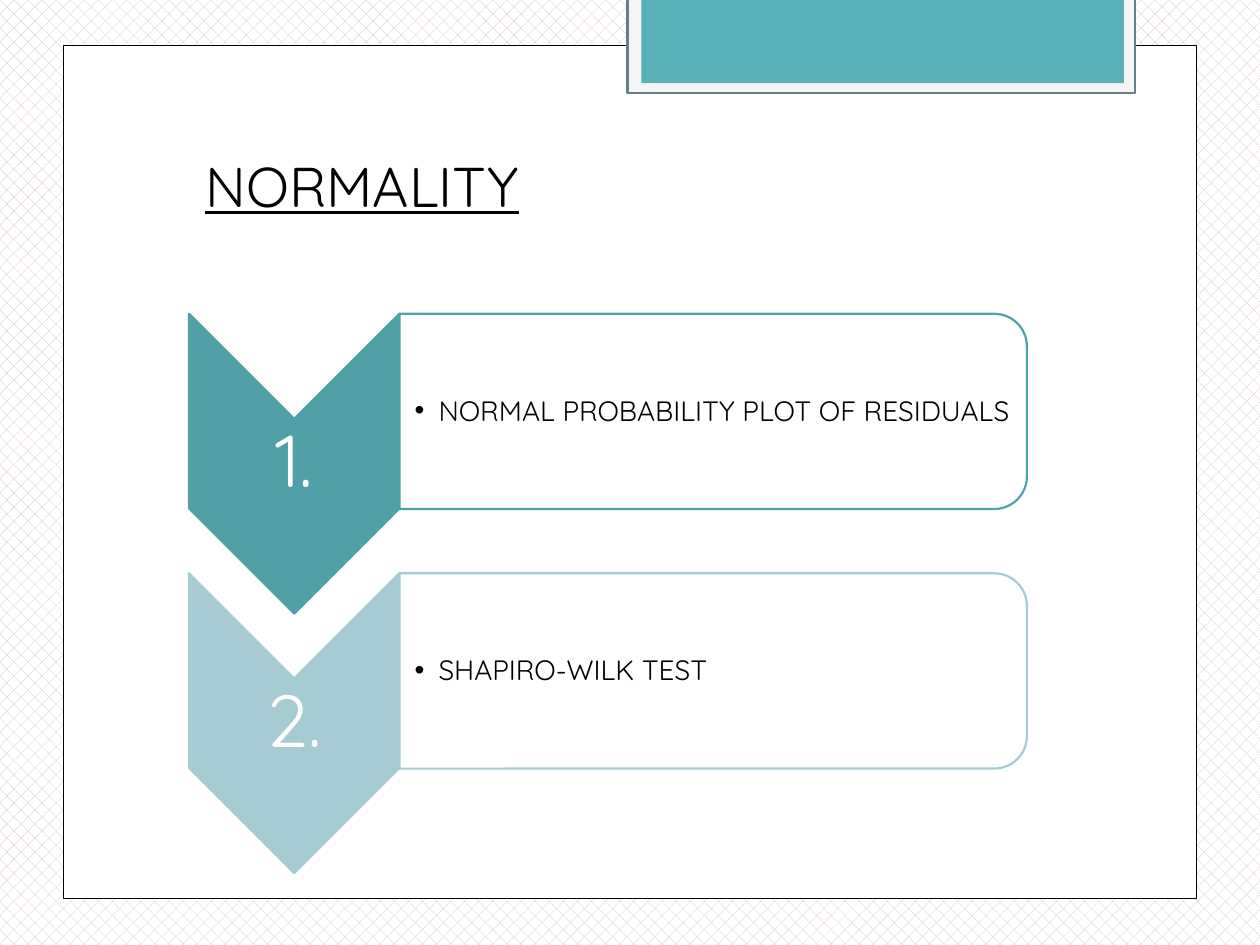
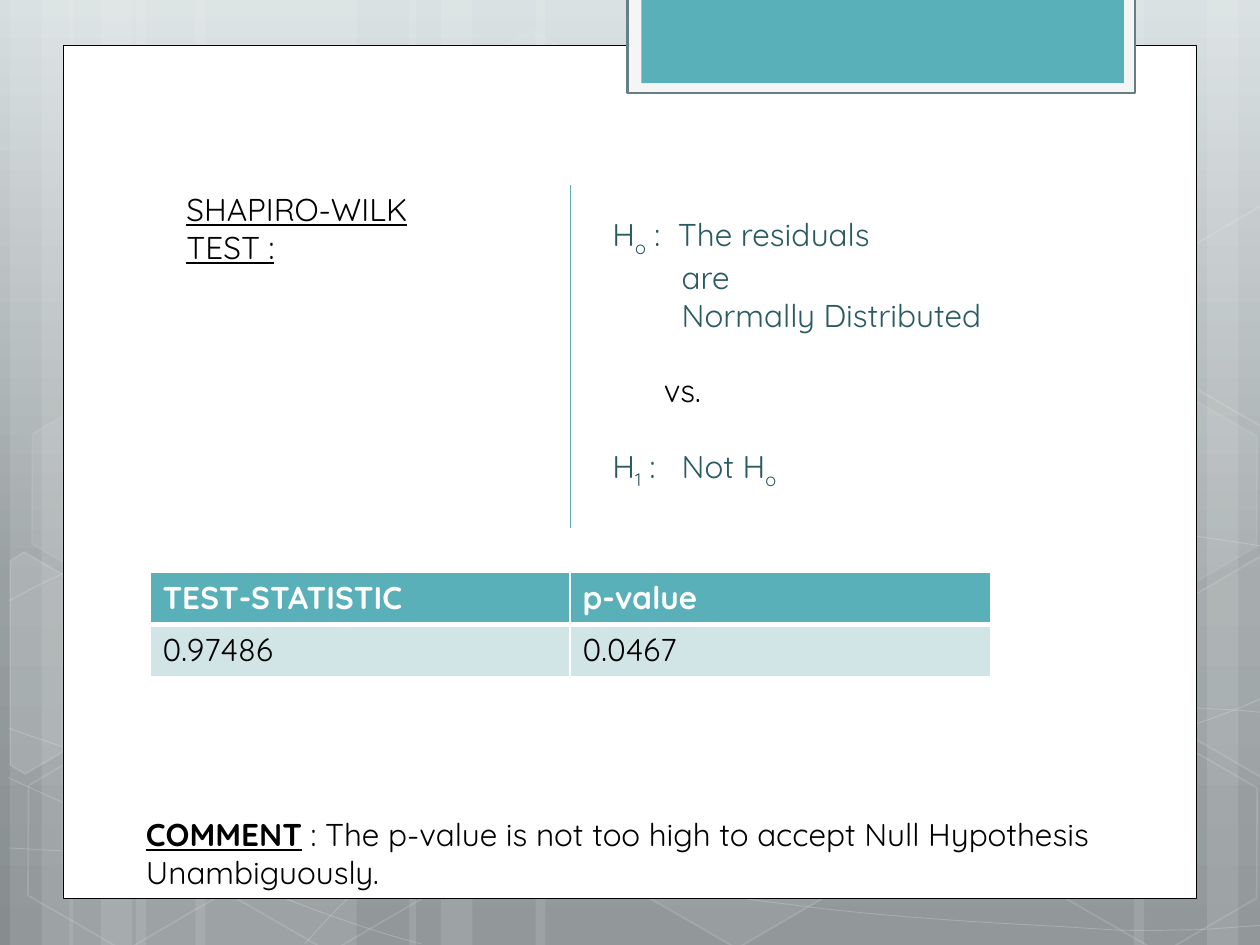
import math
from copy import deepcopy
from dataclasses import dataclass

from lxml import etree
from pptx import Presentation, util as u
from pptx.dml.color import RGBColor
from pptx.enum import dml, shapes, text
from pptx.oxml.ns import qn

# ---- Content ----
HEAD = "NORMALITY"
STEPS = [
    ("1.", "NORMAL PROBABILITY PLOT OF RESIDUALS", "51A0A8"),
    ("2.", "SHAPIRO-WILK TEST", "A5CCD2"),
]
TEST = "SHAPIRO-WILK TEST :"
TABLE = [("TEST-STATISTIC", "p-value"), ("0.97486", "0.0467")]


@dataclass(frozen=True)
class Theme:
    face: str = "Quicksand"
    ink: str = "000000"
    white: str = "FFFFFF"
    teal: str = "59B0B9"
    deep: str = "295B60"
    pale: str = "D1E4E6"
    mat: str = "F5F5F5"
    edge: str = "648086"
    lilac: str = "D4B0D2"
    sky: tuple = ((0, "D6DEDF"), (0.62, "99A0A2"), (1, "868D8F"))
    title: int = 32
    count: int = 42
    item: int = 16
    body: int = 18


T = Theme()
GAP = 21.4  # space around "vs.", in points
SUB = {"base": -25000}
TAB = 0.55

# Each paragraph: runs, then left indent, hanging indent and space before
CLAIMS = [
    ([("H", {}), ("o", SUB), (" :\tThe residuals", {})], 0.52, 0.52, 0),
    ([("are", {})], TAB, 0, 0),
    ([("Normally Distributed", {})], TAB, 0, 0),
    ([("vs.", {"color": T.ink})], 0.41, 0, GAP),
    ([("H", {}), ("1", SUB), (" :\tNot H", {}), ("o", SUB)], TAB, TAB, GAP),
]
NOTE = [
    [("COMMENT", {"bold": True, "under": True}),
     (" : The p-value is not too high to accept Null Hypothesis", {})],
    [("Unambiguously.", {})],
]

# ---- Backdrop geometry, in inches ----
STRIPS = [(1.08, 1.75), (0.08, 0.5), (0.33, 0.83), (1.55, 1.75), (0.55, 0.5),
          (0.8, 0.83), (7.33, 1.75), (9.58, 0.5), (9, 0.83), (4.25, 3.08),
          (3.25, 0.5), (3.5, 0.83)]
# Cubic curves: a start point, then two handles and an end for each arc
CURVES = [
    [(0.07, 6.73), (0.61, 6.76), (1.15, 6.79), (1.9, 6.78), (2.65, 6.77),
     (3.58, 6.75), (4.58, 6.65), (5.58, 6.55), (7, 6.36), (7.92, 6.17),
     (8.83, 5.98), (9.77, 5.68), (10.07, 5.51)],
    [(0.07, 4.77), (0.36, 4.61), (0.65, 4.46), (1.21, 4.31), (1.78, 4.16),
     (2.59, 3.94), (3.47, 3.87), (4.36, 3.8), (5.44, 3.79), (6.54, 3.87),
     (7.64, 3.95), (9.47, 4.26), (10.07, 4.34)],
    [(0.06, 6.17), (1.27, 6.72), (2.47, 7.27), (3.34, 7.49)],
    [(0.07, 5.78), (0.38, 5.89), (0.7, 6), (1.28, 6.16), (1.86, 6.31),
     (2.73, 6.56), (3.57, 6.73), (4.4, 6.9), (5.45, 7.08), (6.28, 7.18),
     (7.11, 7.29), (8, 7.33), (8.53, 7.36), (9.05, 7.4), (9.19, 7.38),
     (9.45, 7.38), (9.71, 7.37), (9.89, 7.35), (10.07, 7.34)],
    [(2.42, 7.49), (2.6, 7.29), (2.78, 7.09), (3.02, 6.91), (3.26, 6.73),
     (3.6, 6.53), (3.88, 6.39), (4.16, 6.25), (4.33, 6.19), (4.7, 6.09),
     (5.06, 5.99), (5.73, 5.85), (6.08, 5.78), (6.44, 5.71), (6.49, 5.71),
     (6.8, 5.69), (7.11, 5.66), (7.6, 5.63), (7.94, 5.62), (8.29, 5.61),
     (8.86, 5.62), (8.86, 5.62), (8.86, 5.62), (9.53, 5.62), (9.53, 5.62),
     (9.71, 5.63), (9.88, 5.64), (9.97, 5.65), (10.06, 5.66), (10.03, 5.65),
     (10.06, 5.66)],
]
TILT = 30
# Hexagons: left, top, fill opacity, line opacity (percent)
CELLS = [(3.34, 0.36, 4, 8), (4.97, 5.89, 6, 12), (0.11, 5.91, 0, 12),
         (0.14, 3.12, 7, 8), (1.74, 5.92, 0, 12), (7.53, 4.53, 10, 12),
         (8.34, 5.93, 0, 12), (8.34, 3.14, 7, 8)]
# Hexagons cut by the slide edge: fill opacity, centre, points as they show
CUTS = [
    (10, (0.36, 5.35), [(0.08, 4.45), (0.19, 4.38), (0.96, 4.82), (0.95, 5.7),
                        (0.2, 6.14), (0.08, 6.07)]),
    (4, (9.85, 5.2), [(9.26, 4.85), (10.01, 4.41), (10.09, 4.46), (10.09, 6.13),
                      (10.02, 6.17), (9.26, 5.73)]),
    (0, (9.85, 2.41), [(9.26, 2.07), (10.01, 1.63), (10.1, 1.68), (10.09, 3.35),
                       (10.02, 3.39), (9.26, 2.95)]),
]


# ---- Drawing helpers ----
def rgb(code):
    return RGBColor.from_string(code)


def fade(shape, where, share):
    for tint in shape.element.xpath(f"./p:spPr/{where}a:solidFill/a:srgbClr"):
        etree.SubElement(tint, qn("a:alpha")).set("val", str(share * 1000))


def paint(shape, fill=None, line=None, width=1, clear=100, faint=100):
    shape.shadow.inherit = False
    if fill and clear:
        shape.fill.solid()
        shape.fill.fore_color.rgb = rgb(fill)
        if clear < 100:
            fade(shape, "", clear)
    else:
        shape.fill.background()
    if line:
        shape.line.color.rgb = rgb(line)
        shape.line.width = u.Pt(width)
        if faint < 100:
            fade(shape, "a:ln/", faint)
    else:
        shape.line.fill.background()


def draw(slide, kind, at, turn=0, **look):
    shape = slide.shapes.add_shape(kind, *map(u.Inches, at))
    shape.rotation = turn
    paint(shape, **look)
    return shape


def trace(slide, points, close, **look):
    dots = [(u.Inches(x), u.Inches(y)) for x, y in points]
    pen = slide.shapes.build_freeform(*dots[0], scale=1.0)
    pen.add_line_segments(dots[1:], close=close)
    shape = pen.convert_to_shape()
    paint(shape, **look)
    return shape


def bend(shape):
    """Turn each three straight segments into one cubic arc."""
    legs = shape.element.xpath(".//a:lnTo")
    for i in range(0, len(legs), 3):
        arc = etree.Element(qn("a:cubicBezTo"))
        legs[i].addprevious(arc)
        for leg in legs[i:i + 3]:
            arc.append(leg[0])
            leg.getparent().remove(leg)


def untilt(points, mid):
    c, s = math.cos(math.radians(TILT)), math.sin(math.radians(TILT))
    moved = [(x - mid[0], y - mid[1]) for x, y in points]
    return [(mid[0] + x * c + y * s, mid[1] - x * s + y * c) for x, y in moved]


def place(shape, at, inset=(0.1, 0.05, 0.1, 0.05), anchor="TOP"):
    """Move a text shape to the front and ready its frame."""
    shape.element.getparent().append(shape.element)
    shape.left, shape.top, shape.width, shape.height = map(u.Inches, at)
    frame = shape.text_frame
    frame.word_wrap = True
    frame.auto_size = text.MSO_AUTO_SIZE.NONE
    frame.vertical_anchor = getattr(text.MSO_ANCHOR, anchor)
    (frame.margin_left, frame.margin_top,
     frame.margin_right, frame.margin_bottom) = map(u.Inches, inset)
    return frame


def label(slide, at, **kw):
    return place(slide.shapes.add_textbox(0, 0, 0, 0), at, **kw)


def write(frame, runs, size, color=T.ink, first=True, align="LEFT",
          left=0, hang=0, gap=0, space=1, mark=None):
    para = frame.paragraphs[0] if first else frame.add_paragraph()
    props = para._p.get_or_add_pPr()
    props.set("marL", str(u.Inches(left)))
    props.set("indent", str(-u.Inches(hang)))
    if mark:
        etree.SubElement(props, qn("a:buChar")).set("char", mark)
    else:
        etree.SubElement(props, qn("a:buNone"))
    para.alignment = getattr(text.PP_ALIGN, align)
    para.line_spacing = space
    para.space_before, para.space_after = u.Pt(gap), u.Pt(0)
    for words, look in runs:
        run = para.add_run()
        run.text = words
        font = run.font
        font.name, font.size = T.face, u.Pt(size)
        font.color.rgb = rgb(look.get("color", color))
        font.bold = look.get("bold", False)
        font.underline = look.get("under", False)
        if "base" in look:
            run._r.get_or_add_rPr().set("baseline", str(look["base"]))


def edges(cell, **widths):
    """White cell borders; they go before the fill."""
    props = cell._tc.get_or_add_tcPr()
    for n, side in enumerate("LRTB"):
        line = etree.Element(qn(f"a:ln{side}"), w=str(u.Pt(widths.get(side, 1))))
        tint = etree.SubElement(line, qn("a:solidFill"))
        etree.SubElement(tint, qn("a:srgbClr")).set("val", T.white)
        props.insert(n, line)


# ---- Shared backdrop, panel and band, kept on the master ----
def frame_deck(prs, slide):
    kind = shapes.MSO_SHAPE
    held = {s.shape_id for s in slide.shapes}
    for left, width in STRIPS:
        draw(slide, kind.RECTANGLE, (left, 0, width, 7.5), fill=T.white, clear=10)
    for curve in CURVES:
        bend(trace(slide, curve, False, line=T.white, width=0.5, faint=20))
    for left, top, clear, faint in CELLS:
        cell = draw(slide, kind.HEXAGON, (left, top, 1.75, 1.52), TILT,
                    fill=T.white, clear=clear, line=T.white, faint=faint)
        cell.adjustments[0] = 0.285
    for clear, mid, points in CUTS:
        cut = trace(slide, untilt(points, mid), True, fill=T.white, clear=clear,
                    line=T.white, faint=12)
        cut.rotation = TILT
    draw(slide, kind.RECTANGLE, (0.5, 0.36, 9, 6.77),
         fill=T.white, line=T.ink, width=0.5)
    draw(slide, kind.RECTANGLE, (4.98, -0.02, 4.03, 0.76),
         fill=T.mat, line=T.edge, width=1.25)
    draw(slide, kind.RECTANGLE, (5.09, -0.02, 3.83, 0.68), fill=T.teal)
    made = [s for s in slide.shapes if s.shape_id not in held]
    for n, shape in enumerate(made, 100):
        shape.element.xpath("./p:nvSpPr/p:cNvPr")[0].set("id", str(n))
        prs.slide_master.shapes.element.append(shape.element)


# ---- Slide 1: two steps ----
def steps_slide(slide):
    fill = slide.background.fill
    fill.patterned()
    fill.pattern = dml.MSO_PATTERN.PERCENT_25
    fill.fore_color.rgb, fill.back_color.rgb = rgb(T.lilac), rgb(T.white)

    write(place(slide.shapes.title, (1.53, 1.15, 3.46, 0.64)),
          [(HEAD, {"under": True})], T.title)

    left, top, pitch = 1.5, 2.49, 2.06
    wide, tall = 1.67, 2.38      # arrow as seen
    card, high = 4.98, 1.55      # card as seen

    def upright(x, y, w, h):
        """Box that shows as x, y, w, h after a quarter turn."""
        return x + (w - h) / 2, y + (h - w) / 2, h, w

    kind = shapes.MSO_SHAPE
    for n, (count, item, color) in enumerate(STEPS):
        y, x = top + n * pitch, left + wide
        draw(slide, kind.CHEVRON, upright(left, y, wide, tall), 90,
             fill=color, line=color, width=1.25)
        write(label(slide, (left, y + wide / 2, wide, 0.71),
                    inset=(0.03,) * 4, anchor="MIDDLE"),
              [(count, {})], T.count, T.white, align="CENTER", space=0.9)
        draw(slide, kind.ROUND_2_SAME_RECTANGLE, upright(x, y, card, high), 90,
             fill=T.white, clear=90, line=color, width=1.25)
        write(place(slide.placeholders[n + 1], (x, y + 0.08, 4.91, 1.4),
                    inset=(0.12, 0.01, 0.01, 0.01), anchor="MIDDLE"),
              [(item, {})], T.item, left=0.19, hang=0.19, space=0.9, mark="•")


# ---- Slide 2: test, hypotheses and result ----
def test_slide(slide):
    fill = slide.background.fill
    fill.gradient()
    fill.gradient_angle = 270
    stops = slide.element.xpath(".//p:bg//a:gsLst")[0]
    stops.append(deepcopy(stops[-1]))
    for stop, (spot, color) in zip(fill.gradient_stops, T.sky):
        stop.position, stop.color.rgb = spot, rgb(color)

    write(place(slide.shapes.title, (1.38, 1.46, 2.6, 0.4)),
          [(TEST, {"under": True})], T.body)

    grid = slide.shapes.add_table(
        len(TABLE), len(TABLE[0]), *map(u.Inches, (1.19, 4.54, 6.67, 0.81))).table
    for r, row in enumerate(TABLE):
        for c, words in enumerate(row):
            cell = grid.cell(r, c)
            cell.fill.solid()
            cell.fill.fore_color.rgb = rgb(T.pale if r else T.teal)
            edges(cell, **({"T": 3} if r else {"B": 3}))
            write(cell.text_frame, [(words, {"bold": r == 0})], T.body,
                  T.ink if r else T.white)

    rule = slide.shapes.add_connector(
        shapes.MSO_CONNECTOR.STRAIGHT, *map(u.Inches, (4.53, 1.47, 4.53, 4.19)))
    rule.line.color.rgb, rule.line.width = rgb(T.teal), u.Pt(0.75)
    etree.SubElement(rule.element.spPr, qn("a:effectLst"))

    claims = place(slide.placeholders[1], (4.76, 1.66, 3.2, 2.52))
    for n, (runs, left, hang, gap) in enumerate(CLAIMS):
        write(claims, runs, T.body, T.deep, n == 0, left=left, hang=hang, gap=gap)

    note = label(slide, (1.06, 6.42, 8.2, 0.71))
    for n, runs in enumerate(NOTE):
        write(note, runs, T.body, first=n == 0)


def main():
    prs = Presentation()
    prs.slide_width, prs.slide_height = u.Inches(10), u.Inches(7.5)
    pair, single = prs.slide_layouts[3], prs.slide_layouts[1]
    first = prs.slides.add_slide(pair)
    frame_deck(prs, first)
    steps_slide(first)
    test_slide(prs.slides.add_slide(single))
    prs.save("out.pptx")


if __name__ == "__main__":
    main()
